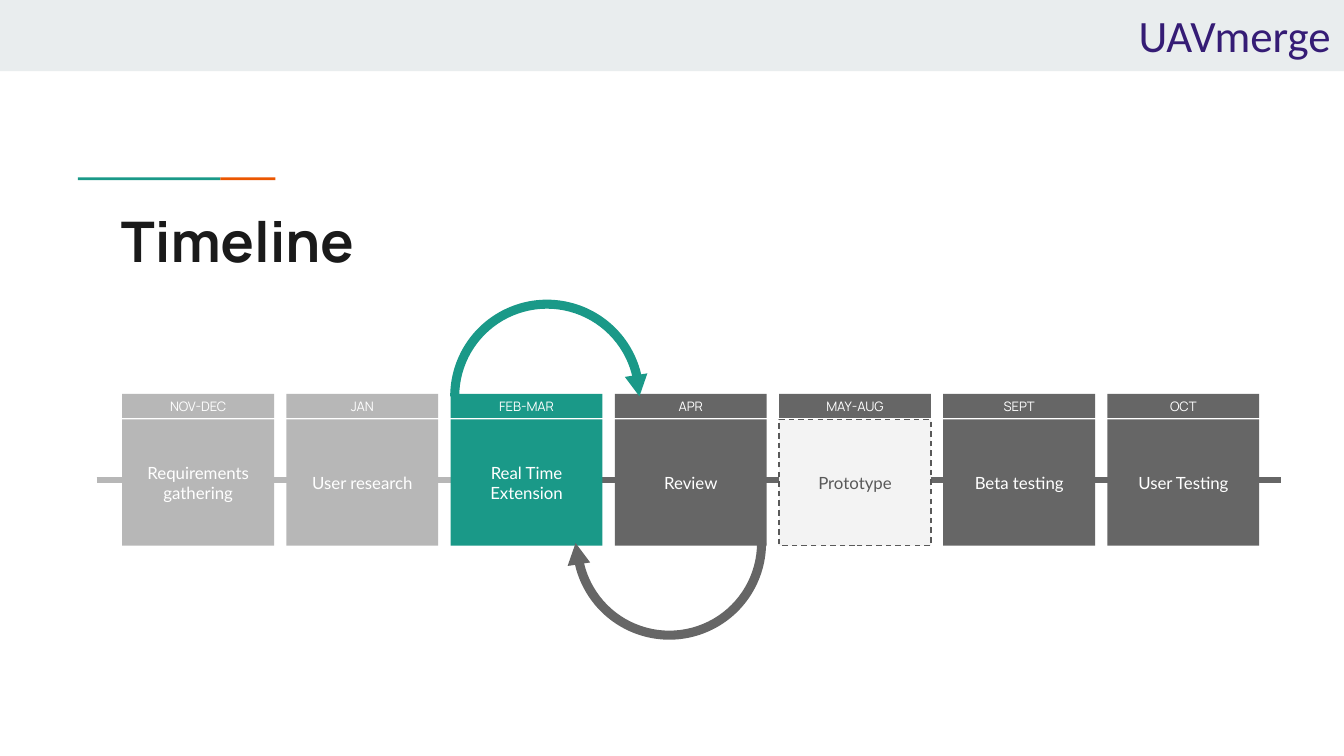
from lxml import etree
from pptx import Presentation
from pptx.dml.color import RGBColor
from pptx.enum.dml import MSO_LINE
from pptx.enum.shapes import MSO_CONNECTOR, MSO_SHAPE
from pptx.enum.text import MSO_ANCHOR, MSO_AUTO_SIZE, PP_ALIGN
from pptx.oxml.ns import qn
from pptx.util import Inches, Pt

RECT, ARC, TIP = MSO_SHAPE.RECTANGLE, MSO_SHAPE.BLOCK_ARC, MSO_SHAPE.ISOSCELES_TRIANGLE
STRAIGHT, DASH = MSO_CONNECTOR.STRAIGHT, MSO_LINE.DASH
TOP, MIDDLE = MSO_ANCHOR.TOP, MSO_ANCHOR.MIDDLE
LEFT, CENTER, RIGHT = PP_ALIGN.LEFT, PP_ALIGN.CENTER, PP_ALIGN.RIGHT
NO_FIT = MSO_AUTO_SIZE.NONE

WHITE = RGBColor(0xFF, 0xFF, 0xFF)
PALE = RGBColor(0xF3, 0xF3, 0xF3)
MIST = RGBColor(0xE9, 0xED, 0xEE)
SILVER = RGBColor(0xB7, 0xB7, 0xB7)
GREY = RGBColor(0x66, 0x66, 0x66)
SLATE = RGBColor(0x59, 0x59, 0x59)
INK = RGBColor(0x1A, 0x1A, 0x1A)
TEAL = RGBColor(0x1A, 0x99, 0x88)
ORANGE = RGBColor(0xEB, 0x56, 0x00)
PURPLE = RGBColor(0x35, 0x1C, 0x75)

prs = Presentation()
prs.slide_width, prs.slide_height = Inches(10), Inches(10 * 9 / 16)
slide = prs.slides.add_slide(prs.slide_layouts[5])
shapes = slide.shapes


def add_shape(kind, left, top, width, height, color):
    shape = shapes.add_shape(kind, Inches(left), Inches(top), Inches(width), Inches(height))
    shape.shadow.inherit = False
    shape.fill.solid()
    shape.fill.fore_color.rgb = color
    shape.line.fill.background()
    return shape


def write(shape, text, font, size, color, align=CENTER, anchor=MIDDLE):
    frame = shape.text_frame
    frame.word_wrap = True
    frame.auto_size = NO_FIT
    frame.vertical_anchor = anchor
    frame.margin_left = frame.margin_right = Inches(0.1)
    frame.margin_top = frame.margin_bottom = Inches(0.1)
    para = frame.paragraphs[0]
    para.alignment = align
    run = para.add_run()
    run.text = text
    run.font.name, run.font.size = font, Pt(size)
    run.font.color.rgb = color
    return run


# Header band, accent stripe and title
add_shape(RECT, 0, 0, 10, 0.53, MIST)
add_shape(RECT, 0.58, 1.32, 1.06, 0.02, TEAL)
add_shape(RECT, 1.64, 1.32, 0.41, 0.02, ORANGE)

title = shapes.title
title.left, title.top = Inches(0.8), Inches(1.44)
title.width, title.height = Inches(8.41), Inches(0.59)
write(title, "Timeline", "Manrope", 30, INK, LEFT, TOP).font.bold = True

# Track behind the phases
for start, end, color in ((4.45, 9.53, GREY), (0.72, 4.24, SILVER)):
    track = shapes.add_connector(STRAIGHT, Inches(start), Inches(3.57), Inches(end), Inches(3.57))
    track.line.color.rgb = color
    track.line.width = Pt(3)
    etree.SubElement(track._element.spPr, qn("a:effectLst"))

# Phases: a month tab above a task box
phases = [
    ("NOV-DEC", "Requirements gathering", SILVER),
    ("JAN", "User research", SILVER),
    ("FEB-MAR", "Real Time Extension", TEAL),
    ("APR", "Review", GREY),
    ("MAY-AUG", "Prototype", GREY),
    ("SEPT", "Beta testing", GREY),
    ("OCT", "User Testing", GREY),
]
first, last = 0.91, 8.24
pitch = (last - first) / (len(phases) - 1)
for i, (month, task, color) in enumerate(phases):
    left = first + i * pitch
    draft = task == "Prototype"
    box = add_shape(RECT, left, 3.12, 1.13, 0.94, PALE if draft else color)
    if draft:
        box.line.color.rgb = SLATE
        box.line.width = Pt(0.75)
        box.line.dash_style = DASH
    write(box, task, "Lato", 9, SLATE if draft else WHITE)
    tab = add_shape(RECT, left, 2.93, 1.13, 0.18, color)
    write(tab, month, "Manrope", 7, WHITE)

# Loop arrows between the extension and its review
loops = [
    (3.35, 2.23, 4.66, 2.79, 0, TEAL),
    (4.26, 3.32, 4.21, 4.04, 180, GREY),
]
for left, top, tip_left, tip_top, turn, color in loops:
    arc = add_shape(ARC, left, top, 1.44, 1.44, color)
    arc.rotation = turn
    # Angles count in units of 100000/60000 degrees
    arc.adjustments[0] = 180 * 0.6
    arc.adjustments[1] = 352.43 * 0.6
    arc.adjustments[2] = 0.047
    tip = add_shape(TIP, tip_left, tip_top, 0.17, 0.16, color)
    tip.rotation = turn + 171.1

brand = shapes.add_textbox(0, 0, Inches(10), Inches(0.52))
write(brand, "UAVmerge", "Calibri", 24, PURPLE, RIGHT)

prs.save("out.pptx")
